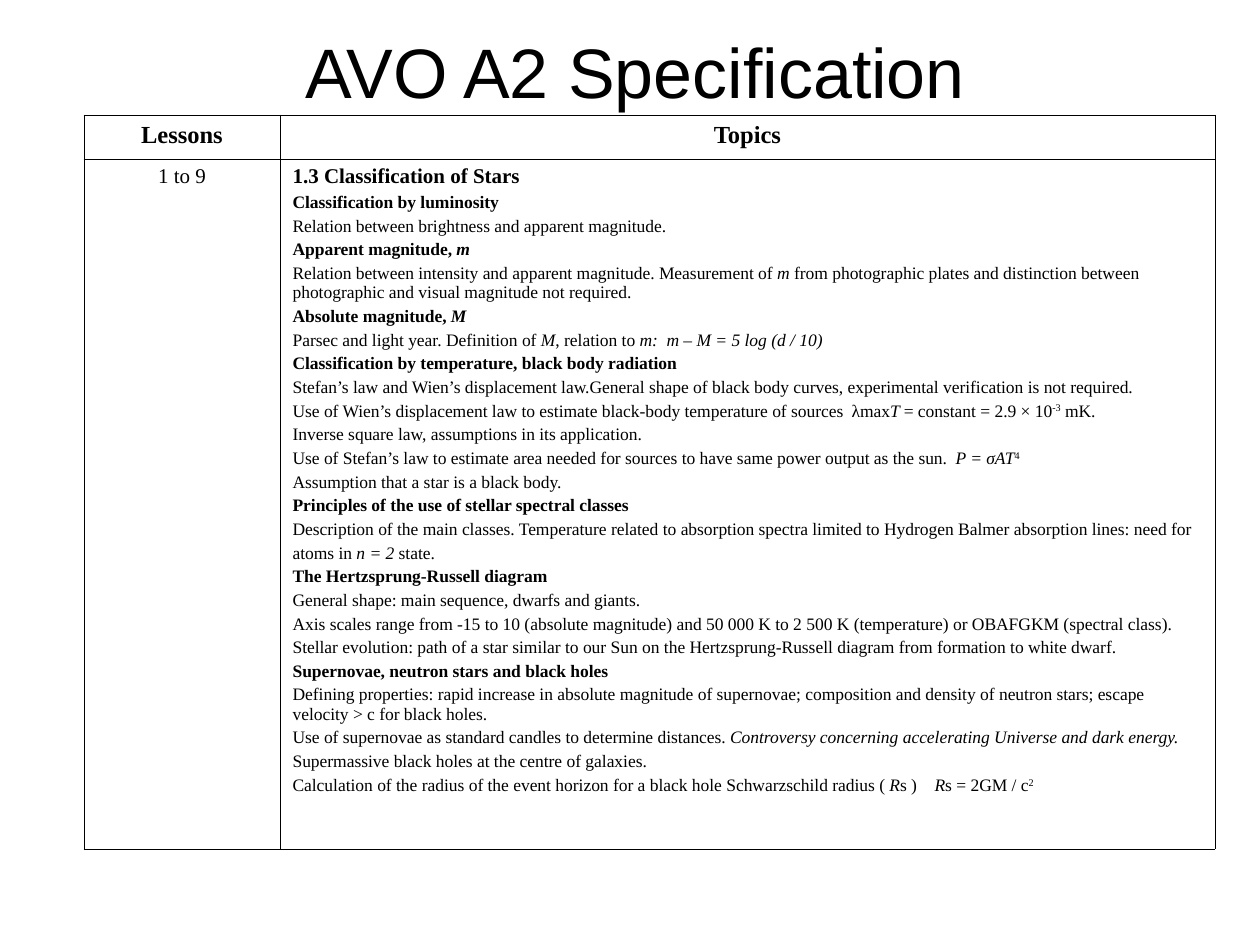
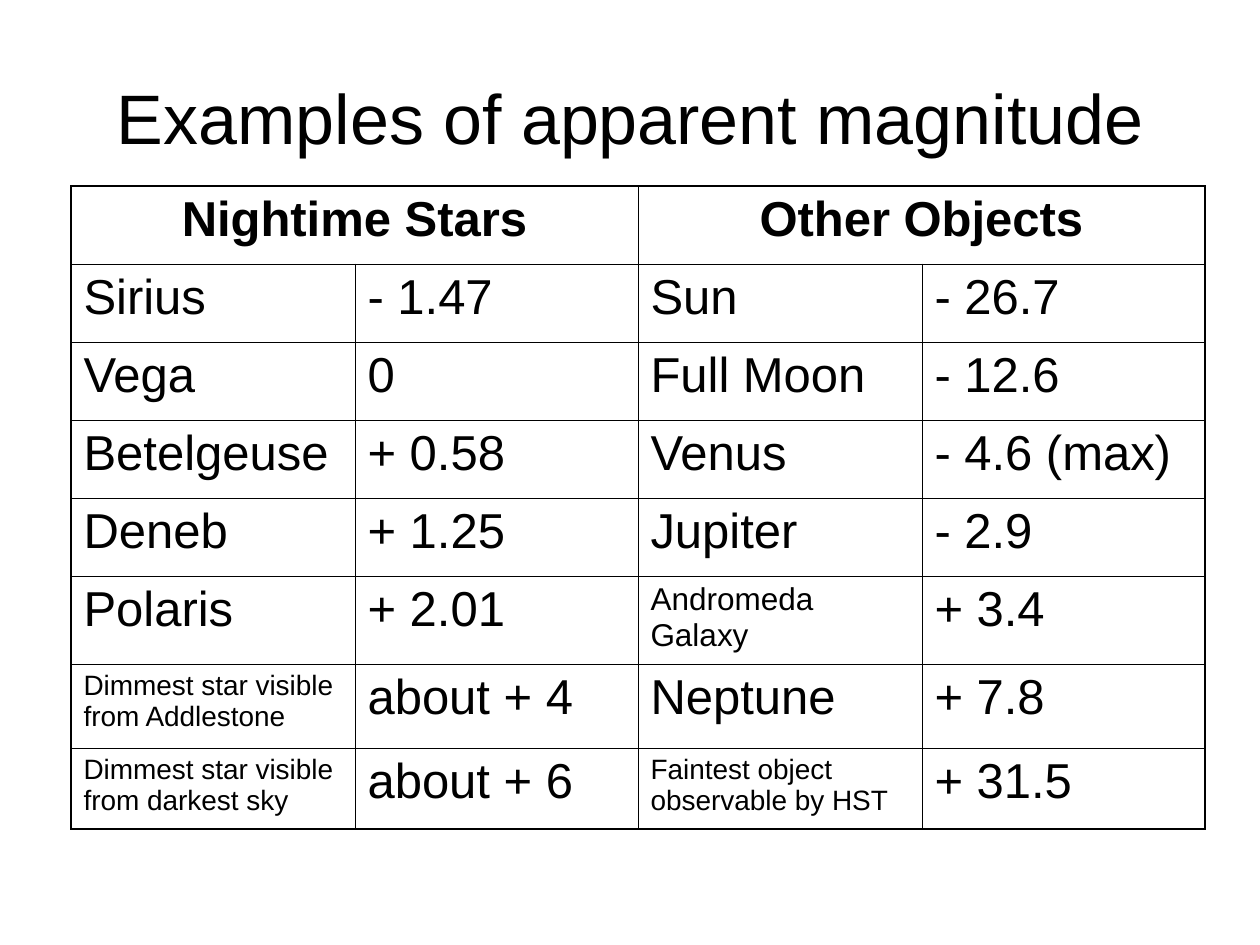
from dataclasses import dataclass
from typing import NamedTuple

from lxml.etree import SubElement
from pptx import Presentation
from pptx.dml.color import RGBColor
from pptx.enum.text import MSO_ANCHOR, MSO_AUTO_SIZE, PP_ALIGN
from pptx.oxml.ns import qn
from pptx.util import Emu, Pt

PX_PER_INCH = 126
COLORS = {"ink": "000000", "paper": "FFFFFF"}
TITLE_FONT = "Arial"
TITLE_SIZE = 40
HAIRLINE = 0.45
TITLE_ONLY = 5


class Box(NamedTuple):
    left: int
    top: int
    width: int
    height: int


class Span(NamedTuple):
    text: str
    italic: bool = False
    raised: bool = False


@dataclass(frozen=True)
class Line:
    """One paragraph; gap_at is the tab stop in px from the cell's text edge."""
    spans: tuple[Span, ...]
    size: int
    bold: bool = False
    centered: bool = False
    gap_at: int = 0


@dataclass(frozen=True)
class Grid:
    left: int
    top: int
    columns: tuple[int, ...]
    rows: tuple[int, ...]
    font: str
    outline: float
    cells: list[list[list[Line]]]
    merges: tuple[tuple[int, int, int], ...] = ()  # row, first column, last column


def px(length: int) -> Emu:
    return Emu(round(length * 914400 / PX_PER_INCH))


def italic(text: str) -> Span:
    return Span(text, italic=True)


def raised(text: str) -> Span:
    return Span(text, raised=True)


def line(*parts: str | Span, size: int = 10, **style) -> Line:
    spans = tuple(Span(part) if isinstance(part, str) else part for part in parts)
    return Line(spans, size, **style)


def heading(*parts: str | Span, size: int = 10) -> Line:
    return line(*parts, size=size, bold=True)


def header(text: str, size: int) -> list[Line]:
    return [line(text, size=size, bold=True, centered=True)]


def format_run(run, font: str, size: int) -> None:
    run.font.name = font
    run.font.size = Pt(size)
    run.font.color.rgb = RGBColor.from_string(COLORS["ink"])


def add_title_page(deck, title: str, box: Box):
    page = deck.slides.add_slide(deck.slide_layouts[TITLE_ONLY])
    page.background.fill.solid()
    page.background.fill.fore_color.rgb = RGBColor.from_string(COLORS["paper"])
    shape = page.shapes.title
    shape.left, shape.top, shape.width, shape.height = map(px, box)
    frame = shape.text_frame
    frame.text = title
    frame.auto_size = MSO_AUTO_SIZE.NONE
    frame.vertical_anchor = MSO_ANCHOR.MIDDLE
    frame.paragraphs[0].alignment = PP_ALIGN.CENTER
    format_run(frame.paragraphs[0].runs[0], TITLE_FONT, TITLE_SIZE)
    return page


def write_lines(cell, lines: list[Line], font: str) -> None:
    frame = cell.text_frame
    for index, item in enumerate(lines):
        para = frame.add_paragraph() if index else frame.paragraphs[0]
        para.alignment = PP_ALIGN.CENTER if item.centered else PP_ALIGN.LEFT
        para.space_before = Pt(2.5 if index else 0)
        if item.gap_at:
            stops = SubElement(para._p.get_or_add_pPr(), qn("a:tabLst"))
            SubElement(stops, qn("a:tab"), pos=str(px(item.gap_at)), algn="l")
        for span in item.spans:
            run = para.add_run()
            run.text = span.text
            format_run(run, font, item.size)
            run.font.bold = item.bold
            run.font.italic = span.italic
            if span.raised:
                run.font._element.set("baseline", "30000")


def set_border(cell, side: str, width: float) -> None:
    edge = SubElement(cell._tc.get_or_add_tcPr(), qn(f"a:ln{side}"), w=str(Pt(width)))
    fill = SubElement(edge, qn("a:solidFill"))
    SubElement(fill, qn("a:srgbClr"), val=COLORS["ink"])


def add_grid(page, grid: Grid) -> None:
    last_row, last_column = len(grid.rows) - 1, len(grid.columns) - 1
    table = page.shapes.add_table(
        len(grid.rows), len(grid.columns), px(grid.left), px(grid.top),
        px(sum(grid.columns)), px(sum(grid.rows))).table
    table.first_row = table.horz_banding = False
    for column, width in zip(table.columns, grid.columns):
        column.width = px(width)
    for row, height in zip(table.rows, grid.rows):
        row.height = px(height)
    for row, first, last in grid.merges:
        table.cell(row, first).merge(table.cell(row, last))
    for row, row_cells in enumerate(grid.cells):
        for column, lines in enumerate(row_cells):
            cell = table.cell(row, column)
            right = column + cell.span_width - 1
            outer_sides = {"L": column == 0, "R": right == last_column,
                           "T": row == 0, "B": row == last_row}
            for side, is_outer in outer_sides.items():
                set_border(cell, side, grid.outline if is_outer else HAIRLINE)
            cell.fill.background()
            write_lines(cell, lines, grid.font)


TOPICS = [
    heading("1.3 Classification of Stars", size=12),
    heading("Classification by luminosity"),
    line("Relation between brightness and apparent magnitude."),
    heading("Apparent magnitude, ", italic("m")),
    line("Relation between intensity and apparent magnitude. Measurement of ", italic("m "),
         "from photographic plates and distinction between photographic and visual "
         "magnitude not required."),
    heading("Absolute magnitude, ", italic("M")),
    line("Parsec and light year. Definition of ", italic("M"), ", relation to ",
         italic("m:\tm – M = 5 log (d / 10)"), gap_at=374),
    heading("Classification by temperature, black body radiation"),
    line("Stefan’s law and Wien’s displacement law.General shape of black body curves, "
         "experimental verification is not required."),
    line("Use of Wien’s displacement law to estimate black-body temperature of sources\tλmax",
         italic("T "), "= constant = 2.9 × 10", raised("-3"), " mK.", gap_at=559),
    line("Inverse square law, assumptions in its application."),
    line("Use of Stefan’s law to estimate area needed for sources to have same power output "
         "as the sun.\t", italic("P = σAT"), raised("4"), gap_at=663),
    line("Assumption that a star is a black body."),
    heading("Principles of the use of stellar spectral classes"),
    line("Description of the main classes. Temperature related to absorption spectra limited "
         "to Hydrogen Balmer absorption lines: need for"),
    line("atoms in ", italic("n = 2"), " state."),
    heading("The Hertzsprung-Russell diagram"),
    line("General shape: main sequence, dwarfs and giants."),
    line("Axis scales range from -15 to 10 (absolute magnitude) and 50 000 K to 2 500 K "
         "(temperature) or OBAFGKM (spectral class)."),
    line("Stellar evolution: path of a star similar to our Sun on the Hertzsprung-Russell "
         "diagram from formation to white dwarf."),
    heading("Supernovae, neutron stars and black holes"),
    line("Defining properties: rapid increase in absolute magnitude of supernovae; composition "
         "and density of neutron stars; escape velocity > c for black holes."),
    line("Use of supernovae as standard candles to determine distances. ",
         italic("Controversy concerning accelerating Universe and dark energy.")),
    line("Supermassive black holes at the centre of galaxies."),
    line("Calculation of the radius of the event horizon for a black hole Schwarzschild "
         "radius ( ", italic("R"), "s )\t", italic("R"), "s = 2GM / c", raised("2"),
         gap_at=642),
]

SPECIFICATION = Grid(
    left=84, top=115, columns=(196, 935), rows=(44, 690),
    font="Times New Roman", outline=HAIRLINE,
    cells=[[header("Lessons", 14), header("Topics", 14)],
           [[line("1 to 9", size=12, centered=True)], TOPICS]])

MAGNITUDES = [
    ("Sirius", "- 1.47", "Sun", "- 26.7"),
    ("Vega", "0", "Full Moon", "- 12.6"),
    ("Betelgeuse", "+ 0.58", "Venus", "- 4.6 (max)"),
    ("Deneb", "+ 1.25", "Jupiter", "- 2.9"),
    ("Polaris", "+ 2.01", "Andromeda Galaxy", "+ 3.4"),
    ("Dimmest star visible from Addlestone", "about + 4", "Neptune", "+ 7.8"),
    ("Dimmest star visible from darkest sky", "about + 6",
     "Faintest object observable by HST", "+ 31.5"),
]


def magnitude_size(text: str) -> int:
    """Shrink long names so that they fit on two lines."""
    if len(text) > 20:
        return 16
    return 18 if len(text) > 12 else 28


EXAMPLES = Grid(
    left=71, top=186, columns=(284, 283) * 2, rows=(78,) * 5 + (88, 84, 81),
    font="Arial", outline=1.08, merges=((0, 0, 1), (0, 2, 3)),
    cells=[[header("Nightime Stars", 28), [], header("Other Objects", 28), []]]
    + [[[line(text, size=magnitude_size(text))] for text in row] for row in MAGNITUDES])


def main() -> None:
    deck = Presentation()
    deck.slide_width, deck.slide_height = px(1260), px(945)
    add_grid(add_title_page(deck, "AVO A2 Specification", Box(64, 26, 1142, 90)),
             SPECIFICATION)
    add_grid(add_title_page(deck, "Examples of apparent magnitude", Box(63, 38, 1134, 158)),
             EXAMPLES)
    deck.save("out.pptx")


if __name__ == "__main__":
    main()
